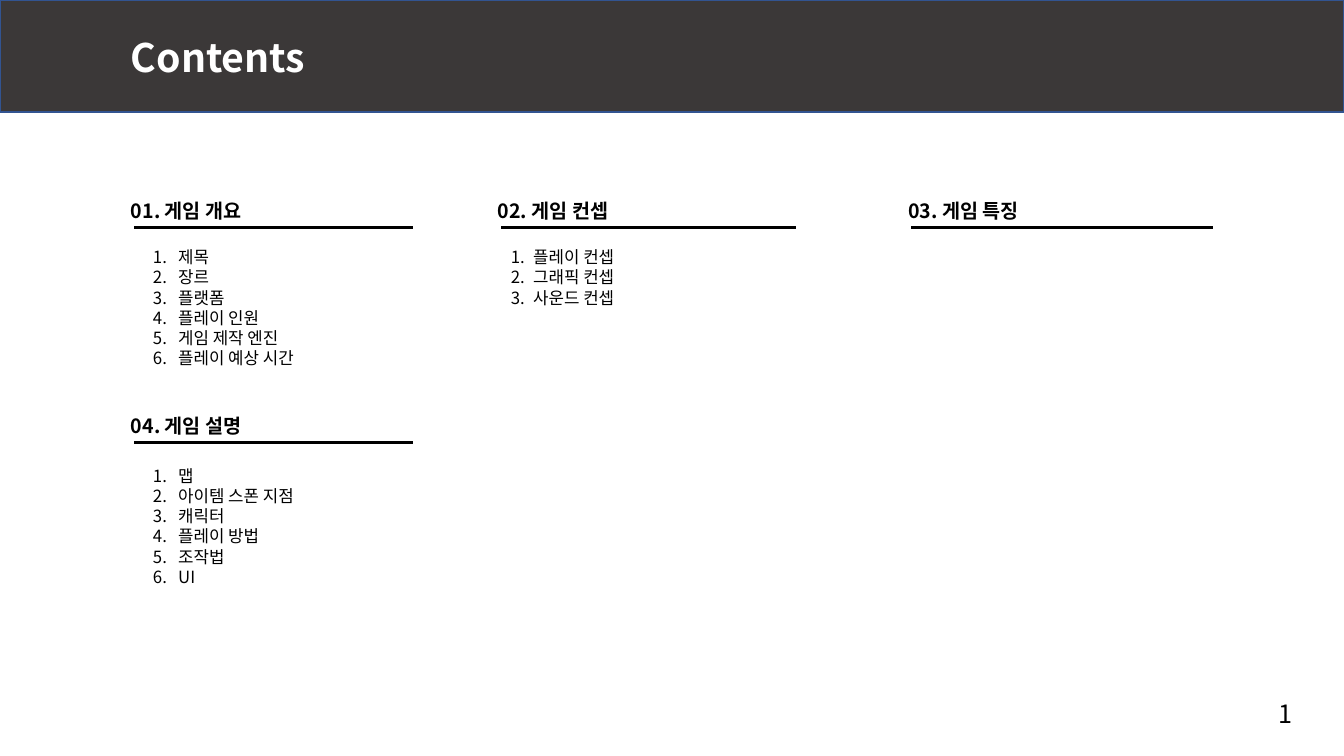
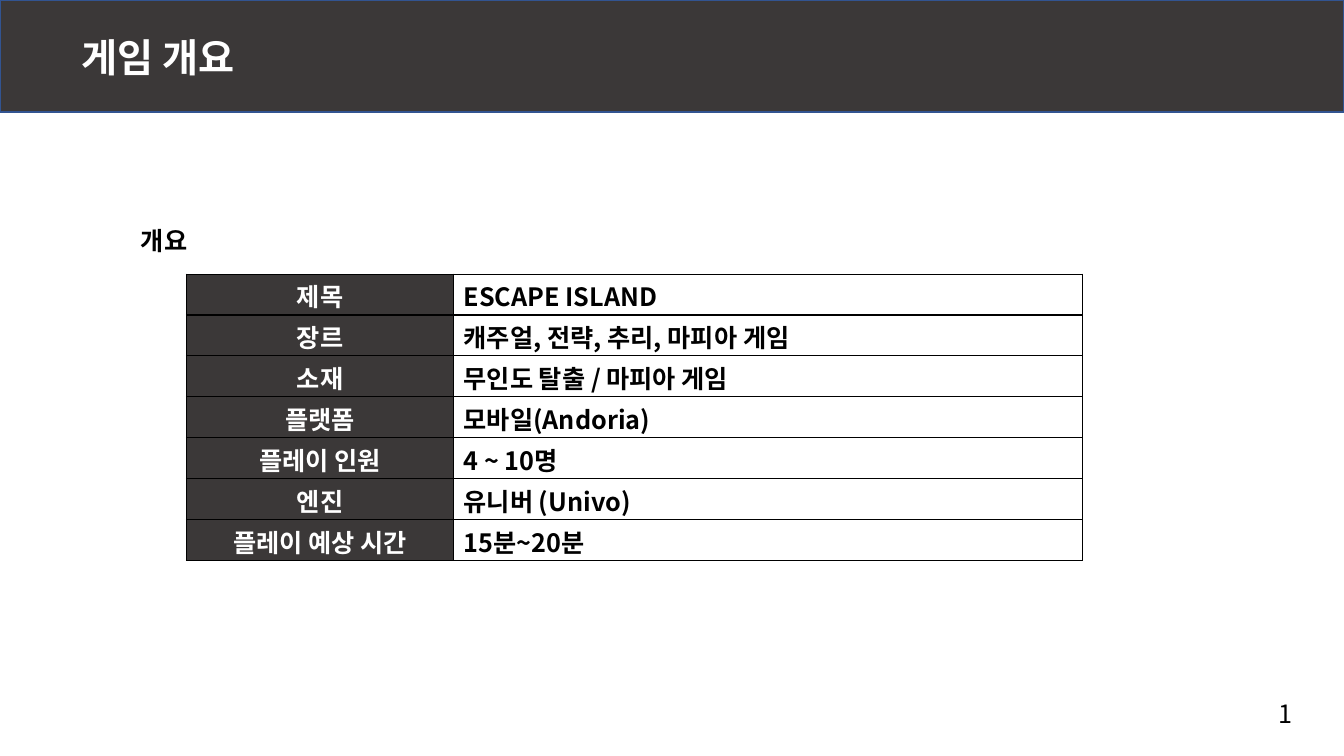
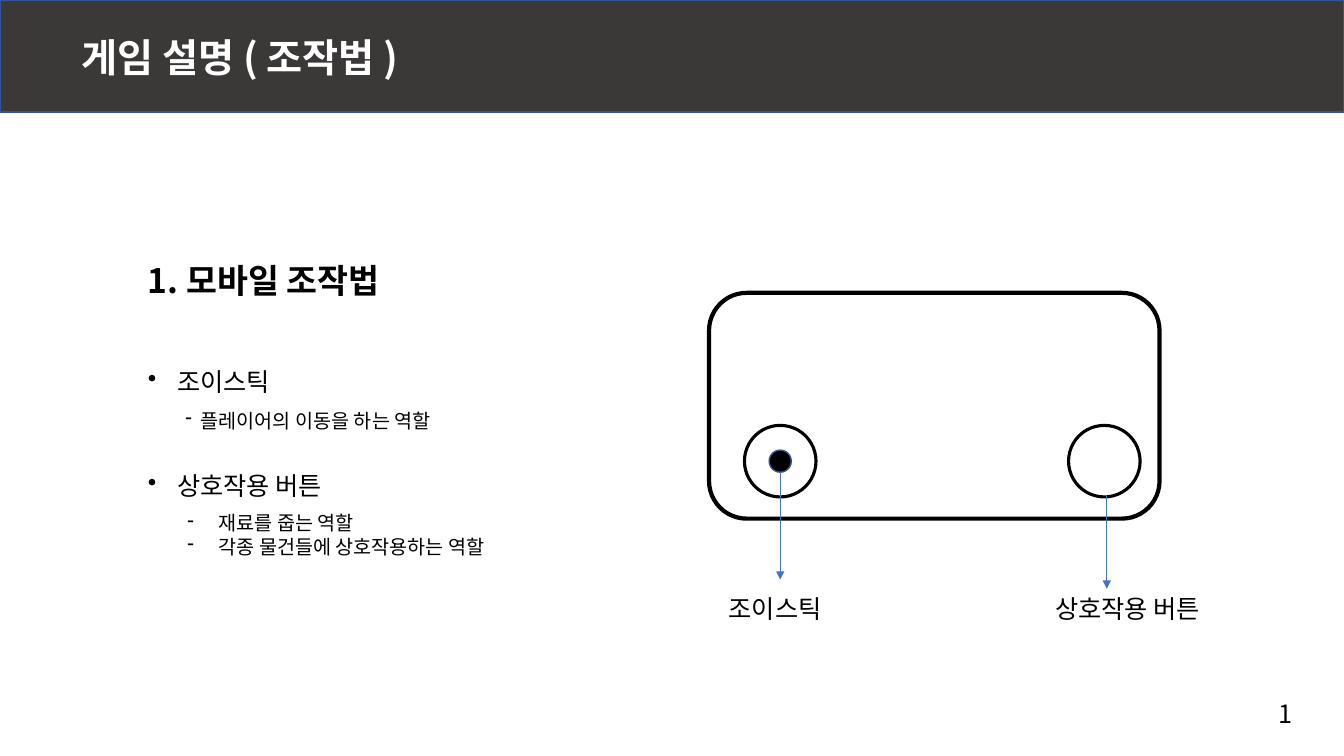
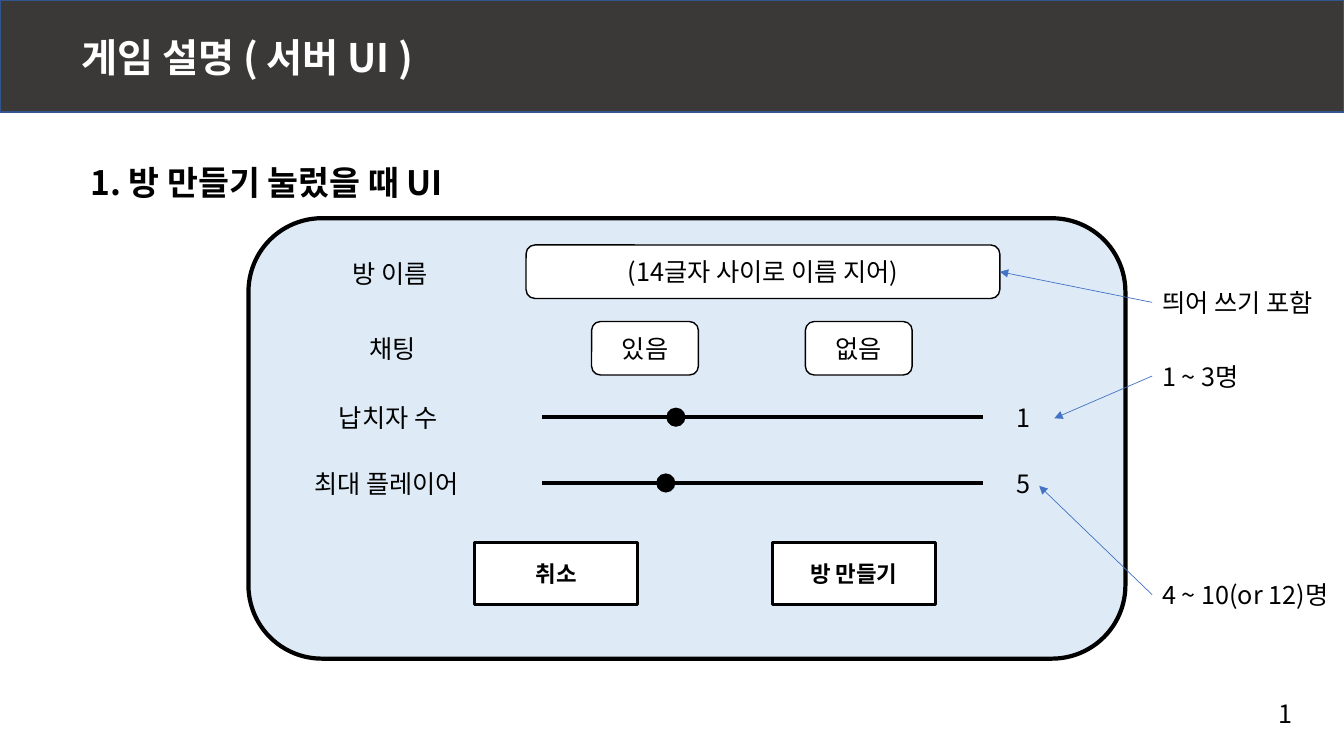
from dataclasses import dataclass
from typing import Any, NamedTuple, Optional

from lxml.etree import SubElement
from pptx import Presentation
from pptx.dml.color import RGBColor
from pptx.enum.shapes import MSO_CONNECTOR as Link, MSO_SHAPE as Preset
from pptx.enum.text import MSO_ANCHOR as Anchor, PP_ALIGN as Align
from pptx.oxml.ns import qn
from pptx.util import Pt

FONT = "Noto Sans CJK KR"
BLACK = RGBColor(0x00, 0x00, 0x00)
WHITE = RGBColor(0xFF, 0xFF, 0xFF)
CHARCOAL = RGBColor(0x3B, 0x38, 0x38)
NAVY = RGBColor(0x32, 0x54, 0x91)
BLUE = RGBColor(0x44, 0x72, 0xC4)
PALE_BLUE = RGBColor(0xDE, 0xEB, 0xF7)
LINE_EM = 1.2
NUMBERED = "1."


class Box(NamedTuple):
    left: float
    top: float
    width: float
    height: float

    def lengths(self) -> list:
        return [Pt(value) for value in self]


class Style(NamedTuple):
    size: float = 18
    bold: bool = False
    color: RGBColor = BLACK
    align: Align = Align.LEFT


class Bullet(NamedTuple):
    mark: str
    indent: float


class Outline(NamedTuple):
    color: RGBColor
    width: float


@dataclass(frozen=True)
class Section:
    title: str
    left: float
    top: float
    rule_width: float
    items: tuple = ()
    list_left: float = 0
    list_top: float = 0
    indent: float = 18


@dataclass(frozen=True)
class Slider:
    label: str
    label_width: float
    y: float
    knob_x: float
    value: str


@dataclass(frozen=True)
class Note:
    text: str
    top: float
    width: float
    target: tuple


TITLE = Style(28, True, WHITE)
HEADING = Style(24, True)
SECTION = Style(14, True)
ITEM = Style(12)
BODY = Style()
DETAIL = Style(14)
FIELD = Style(align=Align.CENTER)
BUTTON = Style(16, True, align=Align.CENTER)
THIN = Outline(BLACK, 1)
MEDIUM = Outline(BLACK, 2.25)
THICK = Outline(BLACK, 3)
POINTER = Outline(BLUE, 0.5)

SECTIONS = (
    Section("01. 게임 개요", 86.4, 138.2, 199.4,
            ("제목", "장르", "플랫폼", "플레이 인원", "게임 제작 엔진", "플레이 예상 시간"), 102.2, 172.8),
    Section("02. 게임 컨셉", 348.5, 138.2, 211,
            ("플레이 컨셉", "그래픽 컨셉", "사운드 컨셉"), 357.8, 172.8, 16),
    Section("03. 게임 특징", 641.5, 138.2, 215.3),
    Section("04. 게임 설명", 86.4, 291.6, 199.4,
            ("맵", "아이템 스폰 지점", "캐릭터", "플레이 방법", "조작법", "UI"), 102.2, 329),
)
OVERVIEW = (
    ("제목", "ESCAPE ISLAND"),
    ("장르", "캐주얼, 전략, 추리, 마피아 게임"),
    ("소재", "무인도 탈출 / 마피아 게임"),
    ("플랫폼", "모바일(Andoria)"),
    ("플레이 인원", "4 ~ 10명"),
    ("엔진", "유니버 (Univo)"),
    ("플레이 예상 시간", "15분~20분"),
)
SLIDERS = (
    Slider("납치자 수", 95, 298, 482.8, "1"),
    Slider("최대 플레이어", 130.3, 345, 475.6, "5"),
)


def apply_format(target: Any, values: dict) -> None:
    for name, value in values.items():
        setattr(target, name, value)


def write(frame: Any, lines: tuple, style: Style, bullet: Optional[Bullet] = None) -> None:
    frame.text = "\n".join(lines)
    for paragraph in frame.paragraphs:
        paragraph.alignment = style.align
        if len(lines) > 1:
            paragraph.line_spacing = Pt(style.size * LINE_EM)
        if bullet:
            properties = paragraph._p.get_or_add_pPr()
            properties.set("marL", str(Pt(bullet.indent)))
            properties.set("indent", str(-Pt(bullet.indent)))
            if bullet.mark == NUMBERED:
                SubElement(properties, qn("a:buAutoNum"), type="arabicPeriod")
            else:
                SubElement(properties, qn("a:buChar"), char=bullet.mark)
        for run in paragraph.runs:
            apply_format(run.font, {"name": FONT, "size": Pt(style.size), "bold": style.bold})
            run.font.color.rgb = style.color
            SubElement(run.font._element, qn("a:ea"), typeface=FONT)


def add_text(slide: Any, box: Box, lines: tuple, style: Style = BODY,
             bullet: Optional[Bullet] = None) -> Any:
    text = slide.shapes.add_textbox(*box.lengths())
    apply_format(text.text_frame, {"word_wrap": True, "vertical_anchor": Anchor.MIDDLE})
    write(text.text_frame, lines, style, bullet)
    return text


def add_shape(slide: Any, preset: Preset, box: Box, fill: Optional[RGBColor] = None,
              outline: Optional[Outline] = None, label: str = "", style: Style = FIELD) -> Any:
    shape = slide.shapes.add_shape(preset, *box.lengths())
    shape.shadow.inherit = False
    if fill is None:
        shape.fill.background()
    else:
        shape.fill.solid()
        shape.fill.fore_color.rgb = fill
    if outline is None:
        shape.line.fill.background()
    else:
        shape.line.color.rgb = outline.color
        shape.line.width = Pt(outline.width)
    if label:
        shape.text_frame.vertical_anchor = Anchor.MIDDLE
        write(shape.text_frame, (label,), style)
    return shape


def add_line(slide: Any, start: tuple, end: tuple, outline: Outline, arrow: bool = False) -> Any:
    line = slide.shapes.add_connector(Link.STRAIGHT, *(Pt(value) for value in (*start, *end)))
    line.line.color.rgb = outline.color
    line.line.width = Pt(outline.width)
    if arrow:
        SubElement(line.line._get_or_add_ln(), qn("a:tailEnd"), type="triangle")
    SubElement(line._element.spPr, qn("a:effectLst"))
    return line


def add_circle(slide: Any, x: float, y: float, diameter: float,
               fill: Optional[RGBColor] = None, outline: Optional[Outline] = None) -> None:
    box = Box(x - diameter / 2, y - diameter / 2, diameter, diameter)
    add_shape(slide, Preset.OVAL, box, fill, outline)


def put_band_on_layout(slide: Any) -> None:
    layout = slide.slide_layout
    for placeholder in list(layout.placeholders):
        placeholder.element.getparent().remove(placeholder.element)
    band = add_shape(slide, Preset.RECTANGLE, Box(0, 0, 960, 80), CHARCOAL, Outline(NAVY, 1))
    layout.shapes.element.append(band.element)


def add_page(deck: Any, title: str, title_left: float = 51) -> Any:
    slide = deck.slides.add_slide(deck.slide_layouts[6])
    if len(deck.slides) == 1:
        put_band_on_layout(slide)
    add_text(slide, Box(title_left, 20.2, 333.4, 41), (title,), TITLE)
    add_text(slide, Box(906.5, 495.4, 24.5, 28.8), ("1",))
    return slide


def build_contents(deck: Any) -> None:
    slide = add_page(deck, "Contents", 86.4)
    for section in SECTIONS:
        add_text(slide, Box(section.left, section.top, 101, 24.5), (section.title,), SECTION)
        rule_left, rule_y = section.left + 9.4, section.top + 24.5
        add_line(slide, (rule_left, rule_y), (rule_left + section.rule_width, rule_y), MEDIUM)
        if section.items:
            height = len(section.items) * ITEM.size * LINE_EM + 7.2
            add_text(slide, Box(section.list_left, section.list_top, 126, height),
                     section.items, ITEM, Bullet(NUMBERED, section.indent))


def fill_cell(cell: Any, text: str, style: Style, fill: RGBColor) -> None:
    apply_format(cell, {"vertical_anchor": Anchor.MIDDLE, "margin_top": Pt(2.5),
                        "margin_bottom": Pt(0.5)})
    write(cell.text_frame, (text,), style)
    properties = cell._tc.get_or_add_tcPr()
    for side in ("a:lnL", "a:lnR", "a:lnT", "a:lnB"):
        border = SubElement(properties, qn(side), w=str(Pt(1)))
        SubElement(SubElement(border, qn("a:solidFill")), qn("a:srgbClr"), val=str(BLACK))
    cell.fill.solid()
    cell.fill.fore_color.rgb = fill


def build_overview(deck: Any) -> None:
    slide = add_page(deck, "게임 개요")
    add_text(slide, Box(93.6, 157, 51.1, 28.8), ("개요",), Style(bold=True))
    area = Box(133.2, 195.8, 640, 204.4)
    overview = slide.shapes.add_table(len(OVERVIEW), 2, *area.lengths()).table
    apply_format(overview, {"first_row": False, "horz_banding": False})
    for column, width in zip(overview.columns, (190.8, 449.2)):
        column.width = Pt(width)
    for row, (label, value) in zip(overview.rows, OVERVIEW):
        row.height = Pt(area.height / len(OVERVIEW))
        fill_cell(row.cells[0], label, Style(18, True, WHITE, Align.CENTER), CHARCOAL)
        fill_cell(row.cells[1], value, Style(bold=True), WHITE)


def build_controls(deck: Any) -> None:
    slide = add_page(deck, "게임 설명 ( 조작법 )")
    add_shape(slide, Preset.ROUNDED_RECTANGLE, Box(506.5, 209.2, 321.8, 161.3), WHITE, THICK)
    joystick_x, button_x, controls_y = 557.3, 788.8, 329.4
    for x in (joystick_x, button_x):
        add_circle(slide, x, controls_y, 51.1, outline=MEDIUM)
    add_circle(slide, joystick_x, controls_y, 15.8, BLACK, Outline(NAVY, 1))
    add_line(slide, (joystick_x, 337), (joystick_x, 414), POINTER, True)
    add_line(slide, (790.6, 353.5), (790.6, 420.5), POINTER, True)
    add_text(slide, Box(513.4, 420.5, 87.1, 28.8), ("조이스틱",))
    add_text(slide, Box(746.6, 420.5, 130.3, 28.8), ("상호작용 버튼",))

    add_text(slide, Box(98.6, 182.2, 197.3, 36), ("1. 모바일 조작법",), HEADING)
    dot = Bullet("•", 20.9)
    add_text(slide, Box(98.6, 257.8, 151.2, 28.8), ("조이스틱",), BODY, dot)
    add_text(slide, Box(125.3, 288, 209.5, 24.5), ("플레이어의 이동을 하는 역할",),
             DETAIL, Bullet("-", 11))
    add_text(slide, Box(98.6, 332.6, 151.2, 28.8), ("상호작용 버튼",), BODY, dot)
    add_text(slide, Box(126.7, 361.4, 249.8, 41),
             ("재료를 줍는 역할", "각종 물건들에 상호작용하는 역할"), DETAIL, Bullet("-", 22.3))


def add_row_label(slide: Any, text: str, width: float, y: float) -> None:
    add_text(slide, Box(282.5 - width / 2, y - 14.4, width, 28.8), (text,))


def build_room_setup(deck: Any) -> None:
    slide = add_page(deck, "게임 설명 ( 서버 UI )")
    add_shape(slide, Preset.ROUNDED_RECTANGLE, Box(177.5, 155.9, 626.4, 314.6), PALE_BLUE, THICK)
    add_text(slide, Box(57.6, 112.3, 296.6, 36), ("1. 방 만들기 눌렀을 때 UI",), HEADING)

    add_row_label(slide, "방 이름", 75.6, 195.1)
    room_name = add_shape(slide, Preset.ROUNDED_RECTANGLE, Box(375.8, 175, 338.4, 38.2),
                          WHITE, THIN, "(14글자 사이로 이름 지어)")
    add_row_label(slide, "채팅", 51.1, 249.1)
    for choice, left in (("있음", 422.6), ("없음", 575.3)):
        add_shape(slide, Preset.ROUNDED_RECTANGLE, Box(left, 229.7, 76.3, 38.2),
                  WHITE, THIN, choice)
    for slider in SLIDERS:
        add_row_label(slide, slider.label, slider.label_width, slider.y)
        add_line(slide, (387.4, slider.y), (702, slider.y), THICK)
        add_circle(slide, slider.knob_x, slider.y, 13.7, BLACK)
        add_text(slide, Box(719.3, slider.y - 14.4, 24.5, 28.8), (slider.value,))
    for action, left in (("취소", 339.1), ("방 만들기", 551.5)):
        add_shape(slide, Preset.RECTANGLE, Box(left, 387.7, 116.6, 43.9),
                  WHITE, MEDIUM, action, BUTTON)

    notes = (
        Note("띄어 쓰기 포함", 201.6, 136.8, (714.2, 194.1)),
        Note("1 ~ 3명", 254.2, 78.5, (753.1, 298.8)),
        Note("4 ~ 10(or 12)명", 410.4, 143.3, (742.3, 347)),
    )
    pointers = []
    for note in notes:
        remark = add_text(slide, Box(823, note.top, note.width, 28.8), (note.text,))
        pointer = add_line(slide, (823, note.top + 14.4), note.target, POINTER, True)
        pointer.begin_connect(remark, 1)
        pointers.append(pointer)
    pointers[0].end_connect(room_name, 3)


def main() -> None:
    deck = Presentation()
    apply_format(deck, {"slide_width": Pt(960), "slide_height": Pt(540)})
    for build in (build_contents, build_overview, build_controls, build_room_setup):
        build(deck)
    deck.save("out.pptx")


if __name__ == "__main__":
    main()
